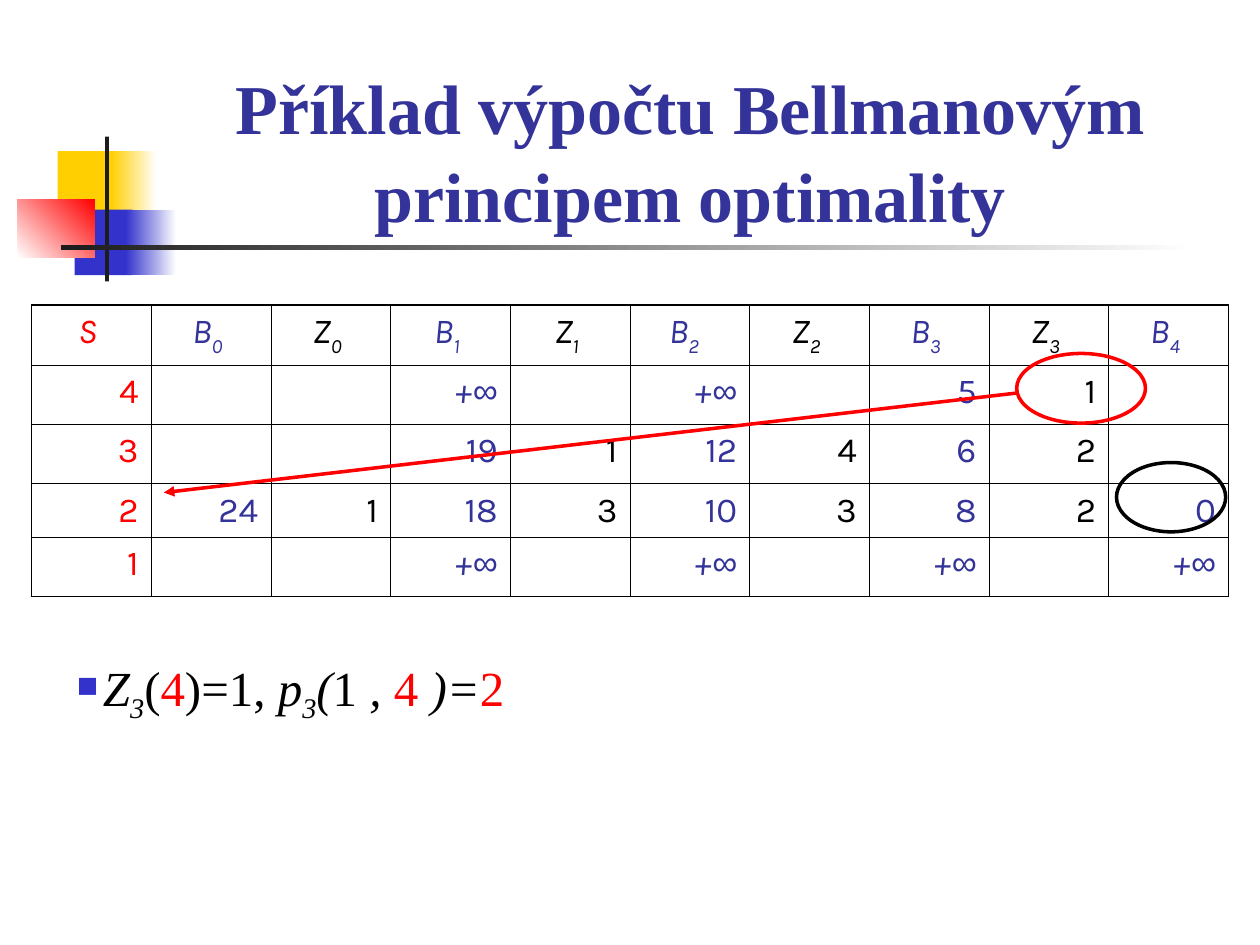
from dataclasses import dataclass
from typing import NamedTuple

from lxml import etree
from pptx import Presentation
from pptx.dml.color import RGBColor
from pptx.enum.shapes import MSO_CONNECTOR, MSO_SHAPE
from pptx.enum.text import MSO_ANCHOR, MSO_AUTO_SIZE, PP_ALIGN
from pptx.oxml.ns import qn
from pptx.util import Pt

RECTANGLE = MSO_SHAPE.RECTANGLE
OVAL = MSO_SHAPE.OVAL
STRAIGHT = MSO_CONNECTOR.STRAIGHT
BOTTOM = MSO_ANCHOR.BOTTOM
NO_AUTOFIT = MSO_AUTO_SIZE.NONE
CENTER, RIGHT = PP_ALIGN.CENTER, PP_ALIGN.RIGHT
TITLE_ONLY = 5


@dataclass(frozen=True)
class Theme:
    red: str = "FF0000"
    blue: str = "333399"
    bullet_blue: str = "3333CC"
    yellow: str = "FFCF01"
    dark: str = "1C1C1C"
    black: str = "000000"
    white: str = "FFFFFF"
    serif: str = "Times New Roman"
    table_font: str = "Karla"
    symbol_font: str = "Arial"
    title_size: int = 40
    table_size: int = 20
    body_size: int = 28
    outer_border: float = 1.08
    inner_border: float = 0.45
    mark_width: int = 2


THEME = Theme()


class Box(NamedTuple):
    left: float
    top: float
    width: float
    height: float

    def inside(self, left, top, width, height):
        return Box(self.left + left, self.top + top, width, height)

    def points(self):
        return [Pt(length) for length in self]


class Piece(NamedTuple):
    text: str
    color: str
    italic: bool = False
    baseline: int = 0


HEADERS = ["S", "B0", "Z0", "B1", "Z1", "B2 ", "Z2", "B3", "Z3", "B4"]
VALUES = [
    ["4", "", "", "+∞", "", "+∞", "", "5", "1", ""],
    ["3", "", "", "19", "1", "12", "4", "6", "2", ""],
    ["2", "24", "1", "18", "3", "10", "3", "8", "2", "0"],
    ["1", "", "", "+∞", "", "+∞", "", "+∞", "", "+∞"],
]
ROW_HEIGHTS = [34.6, 33.8, 33.8, 30.2, 33.8]


def add_pieces(paragraph, pieces, font_name, size):
    for piece in pieces:
        run = paragraph.add_run()
        run.text = piece.text
        run.font.name = THEME.symbol_font if piece.text == "∞" else font_name
        run.font.size = Pt(size)
        run.font.italic = piece.italic
        run.font.color.rgb = RGBColor.from_string(piece.color)
        if piece.baseline:
            run.font._element.set("baseline", str(piece.baseline * 1000))


def add_block(slide, box, color, end_color=None, angle=0):
    shape = slide.shapes.add_shape(RECTANGLE, *box.points())
    shape.shadow.inherit = False
    shape.line.fill.background()
    if end_color is None:
        shape.fill.solid()
        shape.fill.fore_color.rgb = RGBColor.from_string(color)
        return
    shape.fill.gradient()
    shape.fill.gradient_angle = angle
    for stop, stop_color in zip(shape.fill.gradient_stops, (color, end_color)):
        stop.color.rgb = RGBColor.from_string(stop_color)


def add_ornament(slide, box):
    add_block(slide, box.inside(23, 8.4, 34.5, 37.4), THEME.yellow)
    add_block(slide, box.inside(53.5, 8.4, 26, 37.4), THEME.yellow, THEME.white)
    add_block(slide, box.inside(32.7, 41.8, 33, 37.4), THEME.bullet_blue)
    add_block(slide, box.inside(62, 41.8, 28.8, 37.4), THEME.bullet_blue, THEME.white)
    add_block(slide, box.inside(0, 36, 44.2, 33.2), THEME.white, THEME.red, 45)
    add_block(slide, box.inside(50, 0, 2.3, box.height), THEME.dark)
    add_block(slide, box.inside(25, 62.2, 648, 2.5), THEME.dark, THEME.white)


def add_title(slide, box, text):
    title = slide.shapes.title
    title.left, title.top, title.width, title.height = box.points()
    frame = title.text_frame
    frame.text = text
    frame.word_wrap = True
    frame.auto_size = NO_AUTOFIT
    frame.vertical_anchor = BOTTOM
    paragraph = frame.paragraphs[0]
    paragraph.alignment = CENTER
    paragraph.line_spacing = 1.05
    font = paragraph.runs[0].font
    font.name, font.size, font.bold = THEME.serif, Pt(THEME.title_size), True
    font.color.rgb = RGBColor.from_string(THEME.blue)


def set_borders(cell, outer_sides):
    properties = cell._tc.get_or_add_tcPr()
    for position, side in enumerate(("L", "R", "T", "B")):
        width = THEME.outer_border if side in outer_sides else THEME.inner_border
        line = etree.Element(qn(f"a:ln{side}"), w=str(int(Pt(width))))
        fill = etree.SubElement(line, qn("a:solidFill"))
        etree.SubElement(fill, qn("a:srgbClr"), val=THEME.black)
        properties.insert(position, line)


def cell_pieces(text, is_header, color):
    if is_header:
        letter, index = text[0], text[1:]
        pieces = [Piece(letter, color, True)]
        return pieces + [Piece(index, color, True, -30)] if index else pieces
    if text == "+∞":
        return [Piece(sign, color, True) for sign in text]
    return [Piece(text, color)] if text else []


def add_value_table(slide, box):
    rows = [HEADERS] + VALUES
    table = slide.shapes.add_table(len(rows), len(HEADERS), *box.points()).table
    table.first_row = table.horz_banding = False
    for column in table.columns:
        column.width = Pt(box.width / len(HEADERS))
    for row_index, texts in enumerate(rows):
        table.rows[row_index].height = Pt(ROW_HEIGHTS[row_index])
        for column_index, text in enumerate(texts):
            cell = table.cell(row_index, column_index)
            cell.fill.background()
            cell.margin_left, cell.margin_right = Pt(2.9), Pt(7.2)
            cell.margin_top = cell.margin_bottom = Pt(3.6)
            edges = {"L": column_index == 0, "R": column_index == len(HEADERS) - 1,
                     "T": row_index == 0, "B": row_index == len(rows) - 1}
            set_borders(cell, [side for side, is_edge in edges.items() if is_edge])
            color = (THEME.black, THEME.blue)[column_index % 2] if column_index else THEME.red
            paragraph = cell.text_frame.paragraphs[0]
            paragraph.alignment = RIGHT if row_index else CENTER
            pieces = cell_pieces(text, row_index == 0, color)
            add_pieces(paragraph, pieces, THEME.table_font, THEME.table_size)


def add_ring(slide, box, color):
    ring = slide.shapes.add_shape(OVAL, *box.points())
    ring.shadow.inherit = False
    ring.fill.background()
    ring.line.color.rgb = RGBColor.from_string(color)
    ring.line.width = Pt(THEME.mark_width)


def add_arrow(slide, box):
    arrow = slide.shapes.add_connector(
        STRAIGHT, Pt(box.left + box.width), Pt(box.top), Pt(box.left), Pt(box.top + box.height))
    arrow.line.color.rgb = RGBColor.from_string(THEME.red)
    arrow.line.width = Pt(THEME.mark_width)
    etree.SubElement(arrow.line._get_or_add_ln(), qn("a:tailEnd"), type="triangle")
    etree.SubElement(arrow._element.spPr, qn("a:effectLst"))


def add_conclusion(slide, box):
    frame = slide.shapes.add_textbox(*box.points()).text_frame
    frame.word_wrap = True
    paragraph = frame.paragraphs[0]
    properties = paragraph._p.get_or_add_pPr()
    properties.set("marL", str(int(Pt(15))))
    properties.set("indent", str(int(Pt(-15))))
    bullet_color = etree.SubElement(properties, qn("a:buClr"))
    etree.SubElement(bullet_color, qn("a:srgbClr"), val=THEME.bullet_blue)
    etree.SubElement(properties, qn("a:buSzPct"), val="60000")
    etree.SubElement(properties, qn("a:buChar"), char="■")
    black, red = THEME.black, THEME.red
    pieces = [
        Piece("Z", black, True), Piece("3", black, True, -25), Piece("(", black),
        Piece("4", red), Piece(")=1, ", black), Piece("p", black, True),
        Piece("3", black, True, -25), Piece("(", black, True), Piece("1", black),
        Piece(" , ", black, True), Piece("4", red), Piece(" )=", black, True), Piece("2", red),
    ]
    add_pieces(paragraph, pieces, THEME.serif, THEME.body_size)


def main():
    presentation = Presentation()
    presentation.slide_width, presentation.slide_height = Pt(720), Pt(540)
    slide = presentation.slides.add_slide(presentation.slide_layouts[TITLE_ONLY])
    add_ornament(slide, Box(10, 78, 673, 82.8))
    add_title(slide, Box(88, 49, 613, 90), "Příklad výpočtu Bellmanovým principem optimality")
    add_value_table(slide, Box(18, 174.2, 684, sum(ROW_HEIGHTS)))
    add_ring(slide, Box(581, 202, 73.6, 39.8), THEME.red)
    add_arrow(slide, Box(93.6, 224.6, 487.4, 56.9))
    add_conclusion(slide, Box(36.7, 372.2, 584, 79.2))
    add_ring(slide, Box(638, 264.3, 62.4, 39.6), THEME.black)
    presentation.save("out.pptx")


if __name__ == "__main__":
    main()
